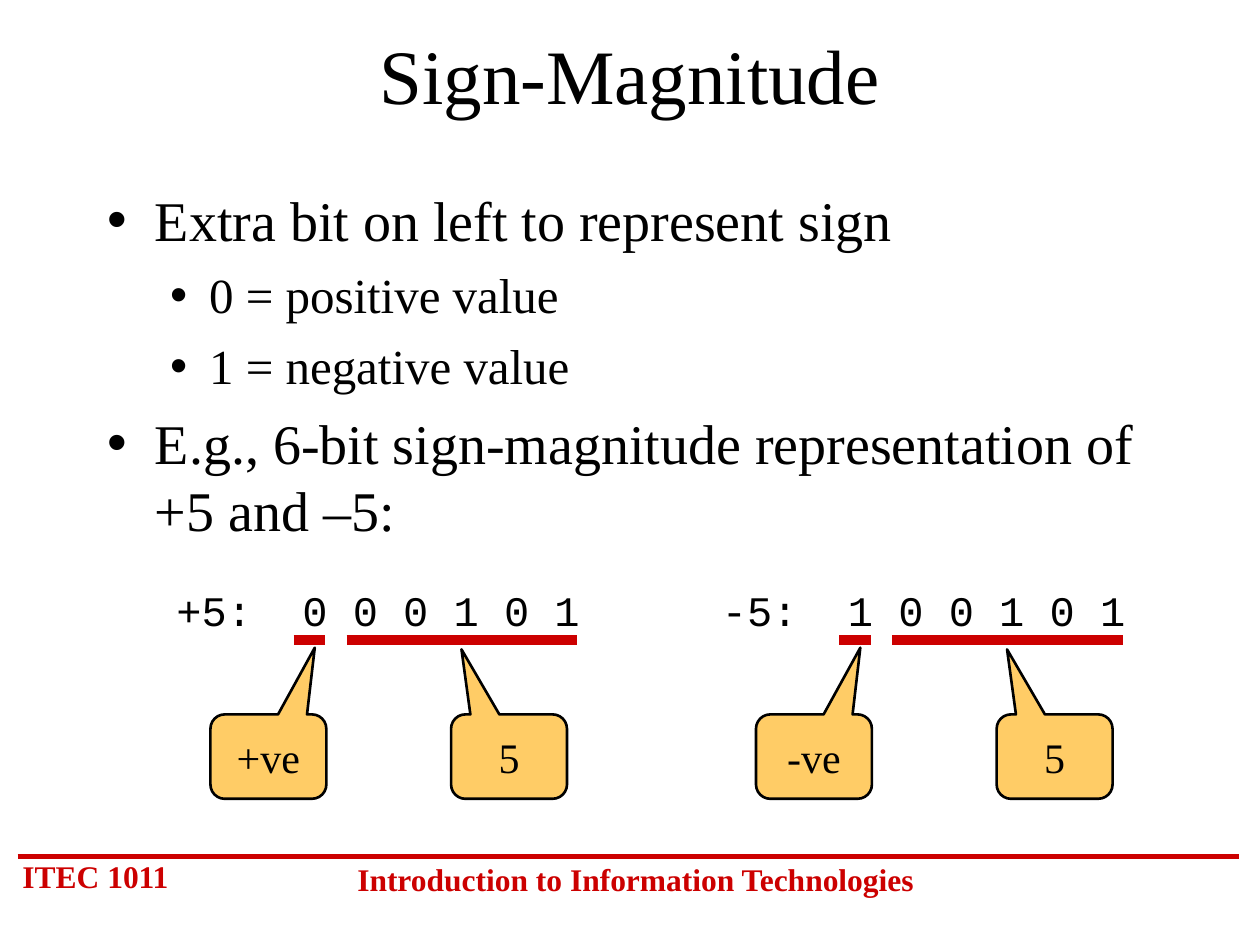
"""Build the Sign-Magnitude lecture slide."""
from lxml import etree
from pptx import Presentation
from pptx import util as u
from pptx.dml.color import RGBColor
from pptx.enum import shapes, text
from pptx.oxml.ns import qn

Inches = u.Inches
RED, BLACK, AMBER = "CC0000", "000000", "FFCC66"
SERIF, MONO = "Times New Roman", "Courier New"


def style(para, size, color=BLACK, font=SERIF, bold=False, align=text.PP_ALIGN.CENTER, before=0):
    para.alignment = align
    para.space_before = u.Pt(before)
    for span in para.runs:
        span.font.size = u.Pt(size)
        span.font.name = font
        span.font.bold = bold
        span.font.color.rgb = RGBColor.from_string(color)


def add_line(parent, left, right, top, width):
    line = parent.add_connector(
        shapes.MSO_CONNECTOR.STRAIGHT, Inches(left), Inches(top), Inches(right), Inches(top))
    line.line.color.rgb = RGBColor.from_string(RED)
    line.line.width = u.Pt(width)
    etree.SubElement(line._element.spPr, qn("a:effectLst"))


deck = Presentation()
deck.slide_width, deck.slide_height = Inches(10), Inches(7.5)
page = deck.slides.add_slide(deck.slide_layouts[1])

add_line(page.shapes, 0.14, 9.83, 6.8, 3)
footers = [
    ("ITEC 1011", 0.08, 6.75, 1.5, text.PP_ALIGN.LEFT),
    ("Introduction to Information Technologies", 2.67, 6.78, 4.75, text.PP_ALIGN.CENTER),
]
for words, left, top, width, align in footers:
    box = page.shapes.add_textbox(Inches(left), Inches(top), Inches(width), Inches(0.4))
    box.text_frame.word_wrap = True
    box.text_frame.auto_size = text.MSO_AUTO_SIZE.SHAPE_TO_FIT_TEXT
    box.text_frame.text = words
    style(box.text_frame.paragraphs[0], 18, RED, bold=True, align=align, before=11.2)

title = page.shapes.title
title.left, title.top, title.width, title.height = map(Inches, (0.75, 0.17, 8.5, 0.83))
title.text_frame.text = "Sign-Magnitude"
title.text_frame.auto_size = text.MSO_AUTO_SIZE.NONE
title.text_frame.vertical_anchor = text.MSO_ANCHOR.MIDDLE
style(title.text_frame.paragraphs[0], 44)

body = page.placeholders[1]
body.left, body.top, body.width, body.height = map(Inches, (0.75, 1.42, 8.5, 4.5))
points = [
    (0, "Extra bit on left to represent sign"),
    (1, "0 = positive value"),
    (1, "1 = negative value"),
    (0, "E.g., 6-bit sign-magnitude representation of +5 and –5:"),
]
levels = [(32, 8, 0.38, 0.38), (28, 7, 0.81, 0.31)]
body.text_frame.text = "\n".join(words for level, words in points)
body.text_frame.auto_size = text.MSO_AUTO_SIZE.NONE
for para, (level, words) in zip(body.text_frame.paragraphs, points):
    size, before, margin, hanging = levels[level]
    para.level = level
    style(para, size, align=text.PP_ALIGN.LEFT, before=before)
    properties = para._p.get_or_add_pPr()
    properties.set("marL", str(Inches(margin)))
    properties.set("indent", str(-Inches(hanging)))
    etree.SubElement(properties, qn("a:buChar"), char="•")

examples = [(1.25, "+5:\t0 0 0 1 0 1", "+ve"), (5.58, "-5:\t1 0 0 1 0 1", "-ve")]
for left, bits, sign in examples:
    group = page.shapes.add_group_shape().shapes
    box = group.add_textbox(Inches(left), Inches(4.67), Inches(3.5), Inches(0.42))
    box.text_frame.word_wrap = True
    box.text_frame.auto_size = text.MSO_AUTO_SIZE.SHAPE_TO_FIT_TEXT
    box.text_frame.text = bits
    para = box.text_frame.paragraphs[0]
    para.line_spacing = 0.8
    style(para, 24, font=MONO, before=15)
    tabs = etree.SubElement(para._p.get_or_add_pPr(), qn("a:tabLst"))
    etree.SubElement(tabs, qn("a:tab"), pos=str(Inches(1)), algn="l")

    for start, end in [(1.5, 3.33), (1.08, 1.33)]:
        add_line(group, left + start, left + end, 5.08, 6)

    for words, offset, tip_x, tip_y in [(sign, 0.42, 0.4, -1.29), ("5", 2.33, -0.41, -1.27)]:
        callout = group.add_shape(
            shapes.MSO_SHAPE.ROUNDED_RECTANGULAR_CALLOUT,
            Inches(left + offset), Inches(5.67), Inches(0.92), Inches(0.67))
        for index, value in enumerate((tip_x, tip_y, 0.17)):
            callout.adjustments[index] = value
        callout.shadow.inherit = False
        callout.fill.solid()
        callout.fill.fore_color.rgb = RGBColor.from_string(AMBER)
        callout.line.color.rgb = RGBColor.from_string(BLACK)
        callout.line.width = u.Pt(1.5)
        callout.text_frame.text = words
        callout.text_frame.vertical_anchor = text.MSO_ANCHOR.MIDDLE
        style(callout.text_frame.paragraphs[0], 24)

deck.save("out.pptx")
